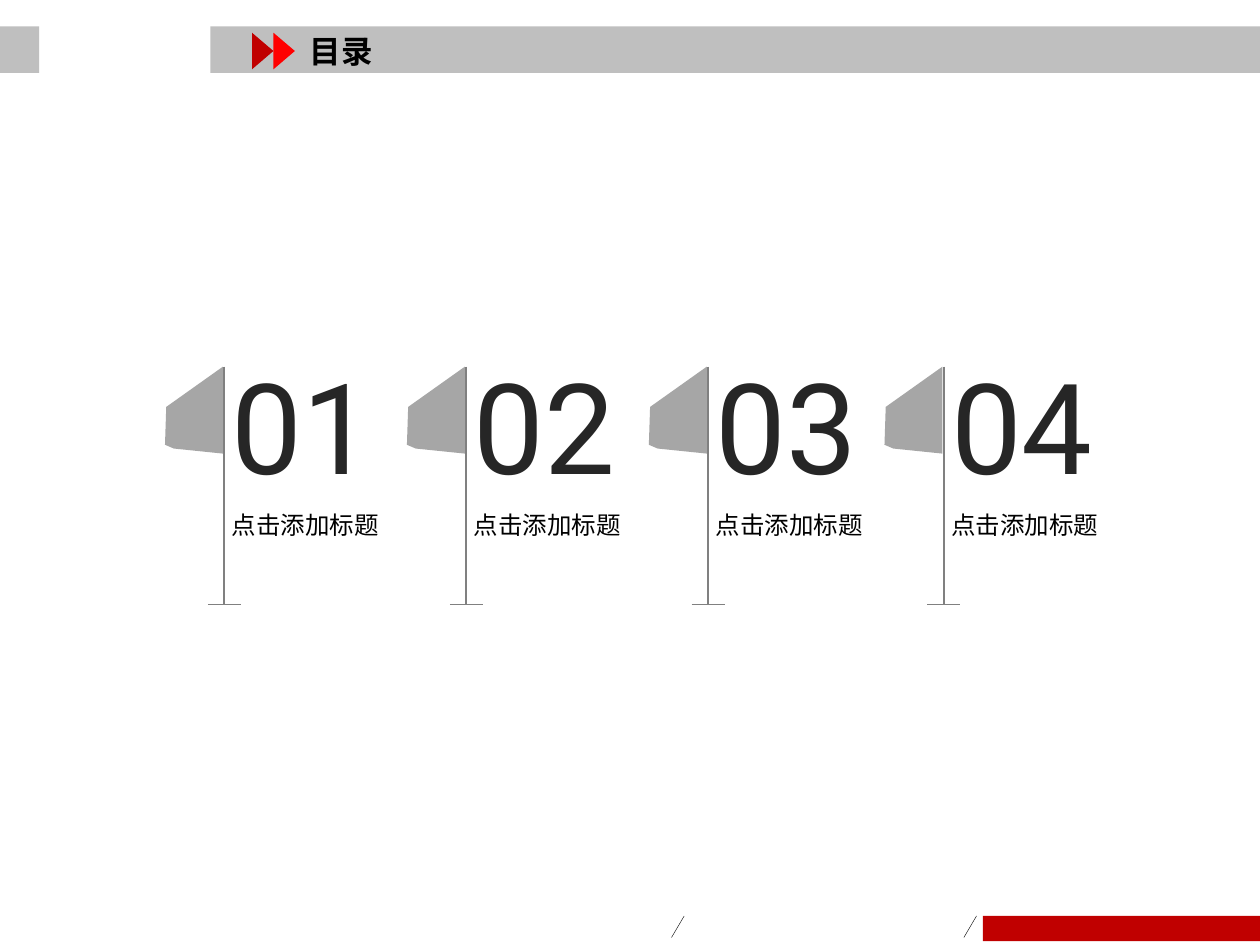
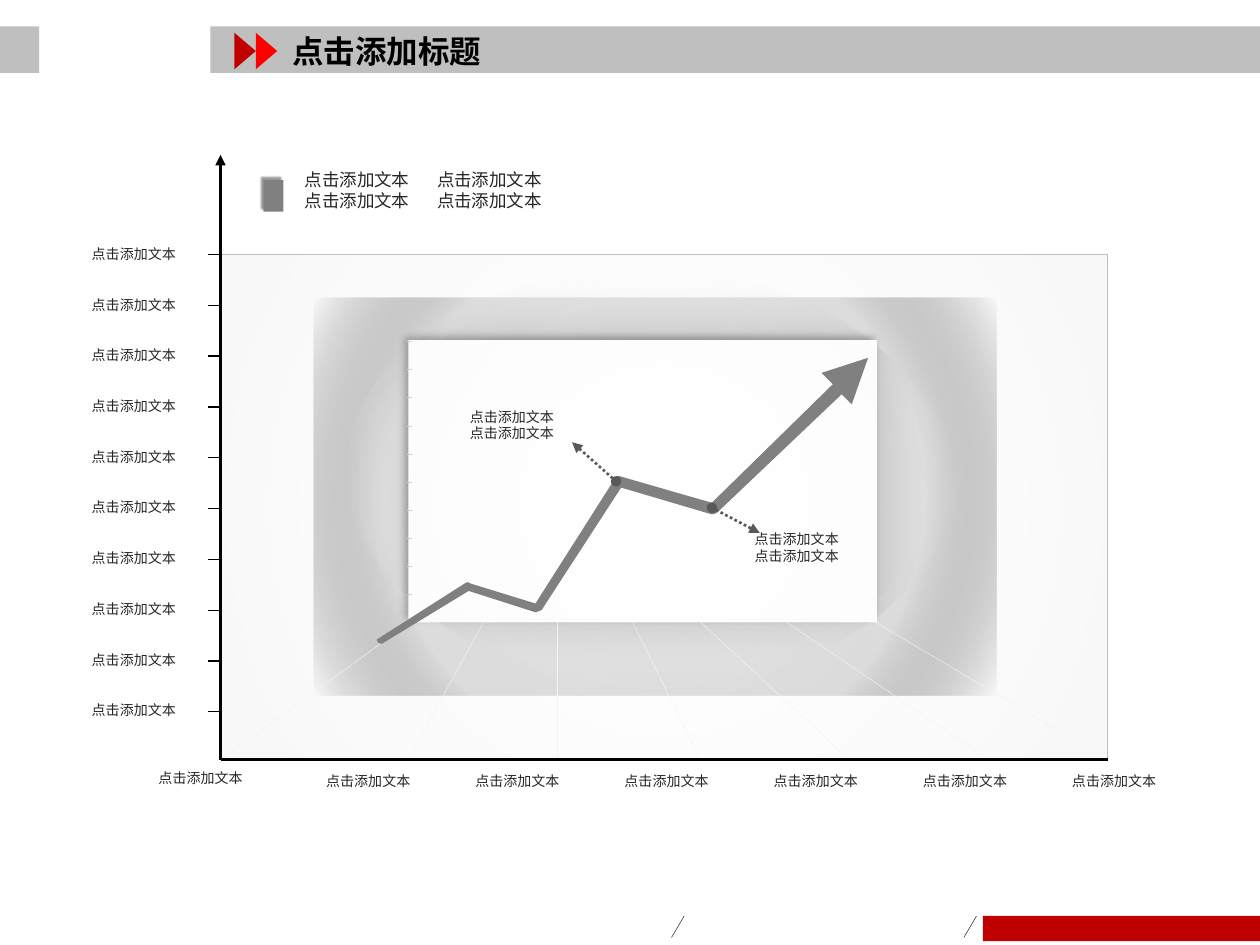
from lxml.etree import SubElement
from pptx import Presentation
from pptx.dml.color import RGBColor
from pptx.enum.dml import MSO_LINE
from pptx.enum.shapes import MSO_CONNECTOR, MSO_SHAPE as SHAPE
from pptx.enum.text import MSO_ANCHOR, MSO_AUTO_SIZE, PP_ALIGN
from pptx.oxml import parse_xml
from pptx.oxml.ns import nsdecls, qn
from pptx.util import Inches, Pt

rgb = RGBColor.from_string
CJK, LATIN = "Noto Sans CJK SC", "Roboto"
BLACK, WHITE, INK = "000000", "FFFFFF", "262626"
RED, DARK_RED = "FF0000", "C00000"
SILVER, FLAG_GREY, GREY, DARK_GREY = "BFBFBF", "A6A6A6", "808080", "595959"
HEADING, ENTRY = "点击添加标题", "点击添加文本"


def block(slide, geometry, box, fill, outline=None, shadow=None):
    """Add a shape; fill is a hex colour or (path, [(percent, hex, opacity)]),
    shadow is (hex, opacity, blur pt, distance pt, degrees)."""
    shape = slide.shapes.add_shape(geometry, *map(Inches, box))
    shape.shadow.inherit = False
    if isinstance(fill, str):
        shape.fill.solid()
        shape.fill.fore_color.rgb = rgb(fill)
    else:
        path, stops = fill
        shape.fill.background()
        stop_xml = "".join(
            f'<a:gs pos="{at * 1000}"><a:srgbClr val="{colour}">'
            f'<a:alpha val="{opacity * 1000}"/></a:srgbClr></a:gs>'
            for at, colour, opacity in stops)
        gradient = parse_xml(
            f'<a:gradFill {nsdecls("a")} rotWithShape="1"><a:gsLst>{stop_xml}</a:gsLst>'
            f'<a:path path="{path}"><a:fillToRect l="50000" t="50000" r="50000" b="50000"/>'
            '</a:path></a:gradFill>')
        empty = shape.element.spPr.find(qn("a:noFill"))
        empty.getparent().replace(empty, gradient)
    if outline:
        shape.line.color.rgb = rgb(outline)
        shape.line.width = Pt(0.25)
    else:
        shape.line.fill.background()
    if shadow:
        colour, opacity, blur, distance, degrees = shadow
        shape.element.spPr.find(qn("a:effectLst")).append(parse_xml(
            f'<a:outerShdw {nsdecls("a")} blurRad="{Pt(blur)}" dist="{Pt(distance)}" '
            f'dir="{degrees * 60000}" algn="ctr" rotWithShape="0"><a:srgbClr val="{colour}">'
            f'<a:alpha val="{opacity * 1000}"/></a:srgbClr></a:outerShdw>'))
    return shape


def rule(slide, start, end, colour, width, head=None, tail=None, dash=None):
    line = slide.shapes.add_connector(MSO_CONNECTOR.STRAIGHT, *map(Inches, start + end))
    line.line.color.rgb = rgb(colour)
    line.line.width = Pt(width)
    if dash:
        line.line.dash_style = dash
    for tag, kind in (("a:headEnd", head), ("a:tailEnd", tail)):
        if kind:
            SubElement(line.line._ln, qn(tag), type=kind)
    SubElement(line.element.spPr, qn("a:effectLst"))
    return line


deck = Presentation()
deck.slide_width, deck.slide_height = Inches(10), Inches(7.5)
layout = deck.slide_layouts[5]
for placeholder in list(layout.placeholders):
    if placeholder.placeholder_format.idx:
        placeholder.element.getparent().remove(placeholder.element)
contents = deck.slides.add_slide(layout)

# Bands and slashes go to the layout, so that both slides share them
bands = [
    block(contents, SHAPE.RECTANGLE, (7.8, 7.27, 2.22, 0.2), DARK_RED),
    block(contents, SHAPE.RECTANGLE, (1.67, 0.21, 8.33, 0.37), SILVER),
    block(contents, SHAPE.RECTANGLE, (-0.01, 0.21, 0.32, 0.37), SILVER),
]
bands += [rule(contents, (x, 7.27), (x - 0.1, 7.44), "0D0D0D", 0.25) for x in (7.75, 5.43)]
for band in bands:
    layout.shapes.element.append(band.element)
trend = deck.slides.add_slide(layout)

# Each caption: slide, box, lines, size, colour, font, is it the title
captions = []
for slide, heading, left, width in ((contents, "目录", 2.36, 1.32), (trend, HEADING, 2.22, 2.64)):
    captions.append((slide, (left, 0.13, width, 0.55), [heading], 18, BLACK, CJK, True))
    for offset, colour in ((0.25, RED), (0.42, DARK_RED)):
        block(slide, SHAPE.ISOSCELES_TRIANGLE, (left - offset, 0.32, 0.29, 0.17), colour).rotation = 90

# Contents: four numbered flags
FLAG = [(-0.47, 3.53), (-0.46, 3.23), (-0.01, 2.91), (-0.01, 3.6), (-0.4, 3.56)]
for number, pole in enumerate((1.78, 3.7, 5.62, 7.49), start=1):
    captions += [
        (contents, (pole - 0.04, 2.72, 1.4, 1.31), [f"{number:02}"], 72, INK, LATIN, False),
        (contents, (pole - 0.04, 4, 1.38, 0.34), [HEADING], 14, BLACK, CJK, False),
    ]
    rule(contents, (pole, 2.91), (pole, 4.8), GREY, 1)
    corners = [(Inches(pole + dx), Inches(y)) for dx, y in FLAG]
    outline = contents.shapes.build_freeform(*corners[0], scale=1.0)
    outline.add_line_segments(corners[1:], close=True)
    flag = outline.convert_to_shape()
    flag.shadow.inherit = False
    flag.fill.solid()
    flag.fill.fore_color.rgb = rgb(FLAG_GREY)
    flag.line.fill.background()
    rule(contents, (pole - 0.13, 4.8), (pole + 0.13, 4.8), GREY, 0.75)

# Trend: shaded room with a white back wall
AXIS_X, AXIS_END, FLOOR = 1.75, 8.79, 6.03
block(trend, SHAPE.RECTANGLE, (2.49, 2.36, 5.42, 3.16),
      ("circle", [(0, BLACK, 12), (68, BLACK, 18), (100, WHITE, 100)]))
block(trend, SHAPE.OVAL, (2.74, 2.13, 4.73, 3.22),
      ("shape", [(0, BLACK, 100), (100, WHITE, 0)]), shadow=("535455", 100, 0, 8.5, 45))
for near, far in ((1.75, 3.82), (3.24, 4.06), (4.42, 4.42), (5.56, 4.82),
                  (6.74, 5.12), (7.85, 5.64), (8.79, 6.26)):
    rule(trend, (near, FLOOR), (far, 4.53), "F2F2F2", 0.25)
block(trend, SHAPE.RECTANGLE, (3.24, 2.7, 3.72, 2.24), WHITE, shadow=(BLACK, 40, 4, 3, 225))

# Ticks and labels on the value axis
for row in range(10):
    wall_y = 2.71 + row * 0.2233
    tick_y = 2.02 + row * 0.4033
    rule(trend, (3.23, wall_y), (3.27, wall_y), SILVER, 0.25)
    rule(trend, (1.65, tick_y), (1.74, tick_y), BLACK, 0.75)
    captions.append((trend, (0.63, 1.9 + row * 0.4022, 1.13, 0.28), [ENTRY], 8, INK, CJK, False))
captions.append((trend, (1.16, 6.06, 1.13, 0.28), [ENTRY], 8, INK, CJK, False))
for column in range(6):
    captions.append((trend, (2.49 + column * 1.184, 6.08, 1.13, 0.28), [ENTRY], 8, INK, CJK, False))

# Legend
block(trend, SHAPE.RECTANGLE, (2.09, 1.43, 0.16, 0.25), GREY, shadow=(BLACK, 40, 1, 2, 225))
for left, width in ((2.32, 1.34), (3.37, 1.49)):
    captions.append((trend, (left, 1.29, width, 0.52), [ENTRY] * 2, 10, INK, CJK, False))

block(trend, SHAPE.RECTANGLE, (AXIS_X, 2.02, 7.04, 4),
      ("circle", [(0, WHITE, 11), (100, "F2F2F2", 51)]), outline=SILVER)

# Growth arrow
GROWTH = [
    (3.03, 5.11), (3, 5.1), (2.99, 5.08), (3, 5.07), (3.69, 4.63), (3.71, 4.62), (3.73, 4.63),
    (4.25, 4.79), (4.88, 3.8), (4.9, 3.78), (4.92, 3.78), (5.3, 3.89), (5.65, 3.99),
    (6.61, 3.05), (6.52, 2.96), (6.89, 2.84), (6.76, 3.21), (6.68, 3.13), (5.69, 4.07),
    (5.67, 4.08), (5.64, 4.08), (4.93, 3.87), (4.3, 4.84), (4.28, 4.85), (4.25, 4.86), (3.72, 4.69),
]
bends = [(Inches(x), Inches(y)) for x, y in GROWTH]
outline = trend.shapes.build_freeform(*bends[0], scale=1.0)
outline.add_line_segments(bends[1:], close=True)
growth = outline.convert_to_shape()
growth.shadow.inherit = False
growth.fill.solid()
growth.fill.fore_color.rgb = rgb(GREY)
growth.line.fill.background()

# Notes on two turning points
for turn, target, corner in (((4.89, 3.82), (4.54, 3.51), (3.63, 3.19)),
                             ((5.65, 4.03), (6.03, 4.23), (5.89, 4.16))):
    rule(trend, turn, target, DARK_GREY, 1.5, head="oval", tail="triangle", dash=MSO_LINE.ROUND_DOT)
    captions.append((trend, corner + (1.32, 0.44), [ENTRY] * 2, 8, INK, CJK, False))

rule(trend, (AXIS_X, FLOOR), (AXIS_X, 1.23), BLACK, 1.5, tail="triangle")
rule(trend, (AXIS_X, FLOOR), (AXIS_END, FLOOR), BLACK, 1.5)

# All wording
for slide, box, lines, size, colour, font, is_title in captions:
    if is_title:
        holder = slide.shapes.title
        holder.left, holder.top, holder.width, holder.height = map(Inches, box)
    else:
        holder = slide.shapes.add_textbox(*map(Inches, box))
    frame = holder.text_frame
    frame.auto_size = MSO_AUTO_SIZE.NONE
    frame.word_wrap = is_title or slide is trend
    frame.vertical_anchor = MSO_ANCHOR.MIDDLE if is_title else MSO_ANCHOR.TOP
    for index, line in enumerate(lines):
        paragraph = frame.add_paragraph() if index else frame.paragraphs[0]
        paragraph.alignment = PP_ALIGN.LEFT
        run = paragraph.add_run()
        run.text = line
        run.font.size = Pt(size)
        run.font.bold = is_title
        run.font.color.rgb = rgb(colour)
        run.font.name = font
        SubElement(run.font._element, qn("a:ea"), typeface=font)

deck.save("out.pptx")
